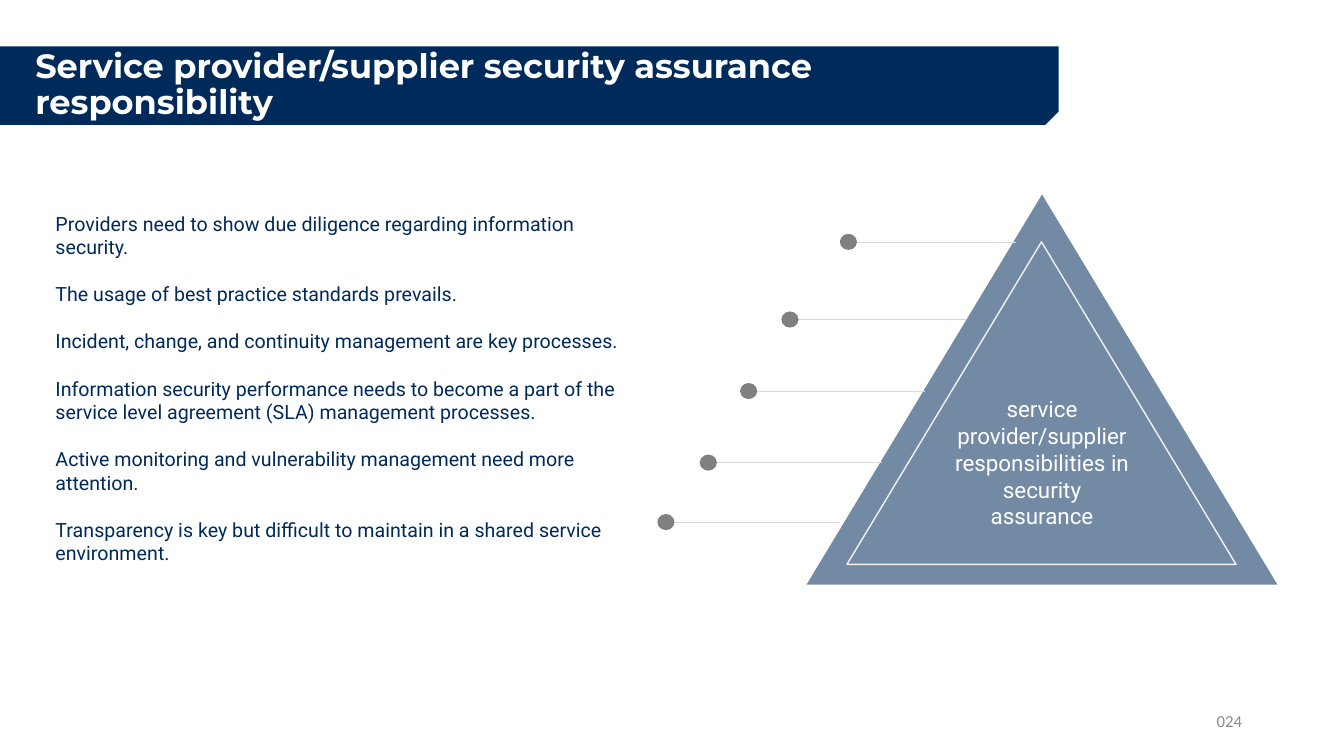
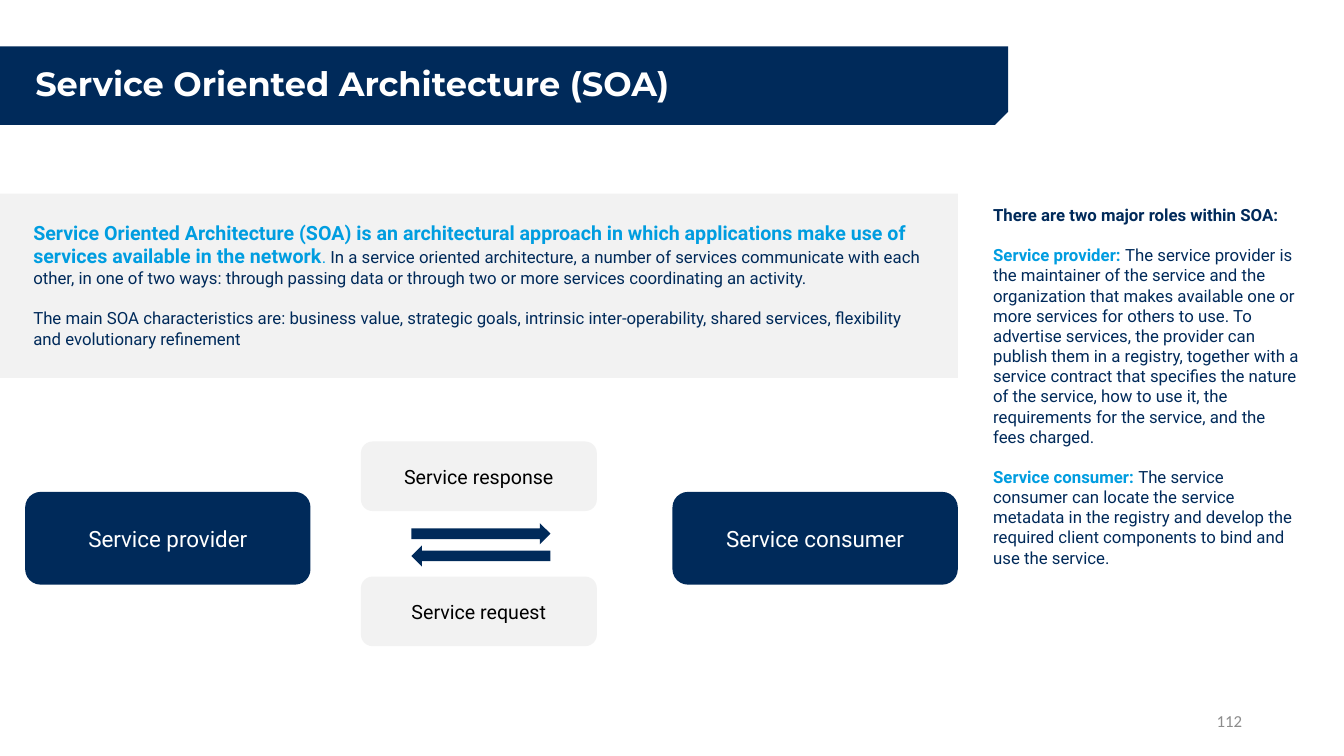
from lxml import etree
from pptx import Presentation
from pptx.dml.color import RGBColor
from pptx.enum.shapes import MSO_CONNECTOR, MSO_SHAPE as SHAPE
from pptx.enum.text import MSO_ANCHOR as ANCHOR, MSO_AUTO_SIZE, PP_ALIGN as ALIGN
from pptx.oxml.ns import qn
from pptx.util import Inches, Pt

NAVY, BLUE, WHITE, BLACK = "002A5A", "009DE0", "FFFFFF", "000000"
PALE, RULE, GREY, NUMBER = "F2F2F2", "D9D9D9", "808080", "8C8C8C"
TITLE = dict(size=24, name="Montserrat", color=WHITE, bold=True)
FOOTER = dict(size=12, name="Calibri", color=NUMBER)
BODY = dict(size=14, name="Roboto", color=NAVY, bold=False)
SMALL = dict(BODY, size=12)
SMALL_BOLD = dict(SMALL, bold=True)
TERM = dict(SMALL_BOLD, color=BLUE)
LEAD = dict(TERM, size=14)
TITLE_TOP, TITLE_HEIGHT = 0.46, 0.78


def rgb(color):
    return RGBColor.from_string(color)


def style(font, size, color, **values):
    font.size = Pt(size)
    font.color.rgb = rgb(color)
    for key, value in values.items():
        setattr(font, key, value)


def write(shape, paragraphs, align=ALIGN.LEFT, anchor=ANCHOR.TOP, gap=0, spacing=1):
    """Fill a shape with paragraphs, each a list of (text, font format) runs."""
    tf = shape.text_frame
    for key, value in dict(word_wrap=True, auto_size=MSO_AUTO_SIZE.NONE,
                           vertical_anchor=anchor).items():
        setattr(tf, key, value)
    for i, runs in enumerate(paragraphs):
        p = tf.add_paragraph() if i else tf.paragraphs[0]
        pPr = p._p.get_or_add_pPr()
        pPr.set("marL", "0")
        pPr.set("indent", "0")
        etree.SubElement(pPr, qn("a:buNone"))
        p.alignment, p.line_spacing = align, spacing
        p.space_before = Pt(gap if i else 0)
        for text, fmt in runs:
            r = p.add_run()
            r.text = text
            style(r.font, **fmt)


def place(shape, box):
    for key, value in zip(("left", "top", "width", "height"), box):
        setattr(shape, key, Inches(value))
    return shape


def add_shape(shapes, kind, box, fill=None, line=None, alpha=None):
    sp = shapes.add_shape(kind, *map(Inches, box))
    sp.shadow.inherit = False
    if fill:
        sp.fill.solid()
        sp.fill.fore_color.rgb = rgb(fill)
    else:
        sp.fill.background()
    if alpha:
        color = sp.fill._xPr.find(qn("a:solidFill"))[0]
        etree.SubElement(color, qn("a:alpha"), val=str(alpha * 1000))
    if line:
        sp.line.color.rgb = rgb(line)
        sp.line.width = Pt(1)
    else:
        sp.line.fill.background()
    return sp


def add_text(shapes, box, paragraphs, **layout):
    write(shapes.add_textbox(*map(Inches, box)), paragraphs, **layout)


def add_label(shapes, box, text, fill, size, color):
    sp = add_shape(shapes, SHAPE.ROUNDED_RECTANGLE, box, fill)
    write(sp, [[(text, dict(BODY, size=size, color=color))]],
          align=ALIGN.CENTER, anchor=ANCHOR.MIDDLE)


def add_rule(shapes, left, right, y):
    line = shapes.add_connector(MSO_CONNECTOR.STRAIGHT,
                                Inches(left), Inches(y), Inches(right), Inches(y))
    line.line.color.rgb = rgb(RULE)
    line.line.width = Pt(0.5)
    etree.SubElement(line.element.spPr, qn("a:effectLst"))


def send_to_back(s, sp):
    s.shapes.element.insert(2, sp.element)


def add_slide(prs, layout, title, band_width, title_width, number):
    """Add a slide with its title band, title and page number."""
    s = prs.slides.add_slide(prs.slide_layouts[layout])
    band = add_shape(s.shapes, SHAPE.SNIP_ROUND_RECTANGLE,
                     (0, TITLE_TOP, band_width, TITLE_HEIGHT), NAVY)
    band.adjustments[0], band.adjustments[1] = 0, 0.17
    band.element.spPr.get_or_add_xfrm().set("flipV", "1")
    send_to_back(s, band)
    write(place(s.shapes.title, (0.25, TITLE_TOP, title_width, TITLE_HEIGHT)),
          [[(title, TITLE)]], anchor=ANCHOR.MIDDLE, spacing=0.9)
    add_text(s.shapes, (9.42, 6.95, 3, 0.4), [[(number, FOOTER)]],
             align=ALIGN.RIGHT, anchor=ANCHOR.MIDDLE)
    return s


def responsibility_slide(prs):
    s = add_slide(prs, 1, "Service provider/supplier security assurance responsibility",
                  10.5, 10.33, "024")
    duties = (
        "Providers need to show due diligence regarding information security.",
        "The usage of best practice standards prevails.",
        "Incident, change, and continuity management are key processes.",
        "Information security performance needs to become a part of the service level "
        "agreement (SLA) management processes.",
        "Active monitoring and vulnerability management need more attention.",
        "Transparency is key but difficult to maintain in a shared service environment.",
    )
    write(place(s.placeholders[1], (0.45, 2.05, 5.96, 3.64)),
          [[(duty, BODY)] for duty in duties], gap=16.8)

    pyramid = s.shapes.add_group_shape().shapes
    add_shape(pyramid, SHAPE.ISOSCELES_TRIANGLE, (8, 1.93, 4.67, 3.87), NAVY, alpha=55)
    add_shape(pyramid, SHAPE.ISOSCELES_TRIANGLE, (8.4, 2.4, 3.86, 3.2), line=PALE)
    add_text(pyramid, (9.33, 3.87, 2.01, 1.45),
             [[("service provider/supplier responsibilities in security assurance",
                dict(BODY, size=16, color=WHITE))]], align=ALIGN.CENTER)

    dot_width, dot_height = 0.17, 0.16
    for dot_left, rule_right, y in ((8.33, 10.08, 2.4), (7.75, 9.58, 3.17),
                                    (7.34, 9.17, 3.88), (6.94, 8.75, 4.59),
                                    (6.52, 8.33, 5.18)):
        add_rule(s.shapes, dot_left + dot_width / 2, rule_right, y)
        add_shape(s.shapes, SHAPE.OVAL,
                  (dot_left, y - dot_height / 2, dot_width, dot_height), GREY)


def architecture_slide(prs):
    s = add_slide(prs, 3, "Service Oriented Architecture (SOA)", 10, 9.5, "112")
    send_to_back(s, add_shape(s.shapes, SHAPE.RECTANGLE, (0, 1.92, 9.5, 1.83), PALE))
    definition = [
        [("Service Oriented Architecture (SOA) is an architectural approach in which "
          "applications make use of services available in the network", LEAD),
         (". ", dict(SMALL, color=BLUE)),
         ("In a service oriented architecture, a number of services communicate with each "
          "other, in one of two ways: through passing data or through two or more services "
          "coordinating an activity.", SMALL)],
        [("The main SOA characteristics are: business value, strategic goals, intrinsic "
          "inter-operability, shared services, flexibility and evolutionary refinement",
          SMALL)],
    ]
    roles = [
        [("There are two major roles within SOA:", SMALL_BOLD)],
        [("Service provider: ", TERM),
         ("The service provider is the maintainer of the service and the organization that "
          "makes available one or more services for others to use. To advertise services, "
          "the provider can publish them in a registry, together with a service contract "
          "that specifies the nature of the service, how to use it, the requirements for "
          "the service, and the fees charged.", SMALL)],
        [("Service consumer: ", TERM),
         ("The service consumer can locate the service metadata in the registry and develop "
          "the required client components to bind and use the service.", SMALL)],
    ]
    write(place(s.placeholders[1], (0.23, 2.14, 9.1, 1.38)), definition, gap=14.4)
    write(place(s.placeholders[2], (9.75, 1.98, 3.25, 3.74)), roles, gap=14.4)

    for left, party in ((0.25, "Service provider"), (6.67, "Service consumer")):
        add_label(s.shapes, (left, 4.88, 2.83, 0.92), party, NAVY, 16, WHITE)
    for top, message in ((4.38, "Service response"), (5.72, "Service request")):
        add_label(s.shapes, (3.58, top, 2.34, 0.69), message, PALE, 14, BLACK)
    for top, rotation in ((5.19, 0), (5.41, 180)):
        arrow = add_shape(s.shapes, SHAPE.RIGHT_ARROW, (4.08, top, 1.38, 0.21), NAVY)
        arrow.rotation = rotation


def main():
    prs = Presentation()
    prs.slide_width, prs.slide_height = Inches(13.33), Inches(7.5)
    responsibility_slide(prs)
    architecture_slide(prs)
    prs.save("out.pptx")


if __name__ == "__main__":
    main()
